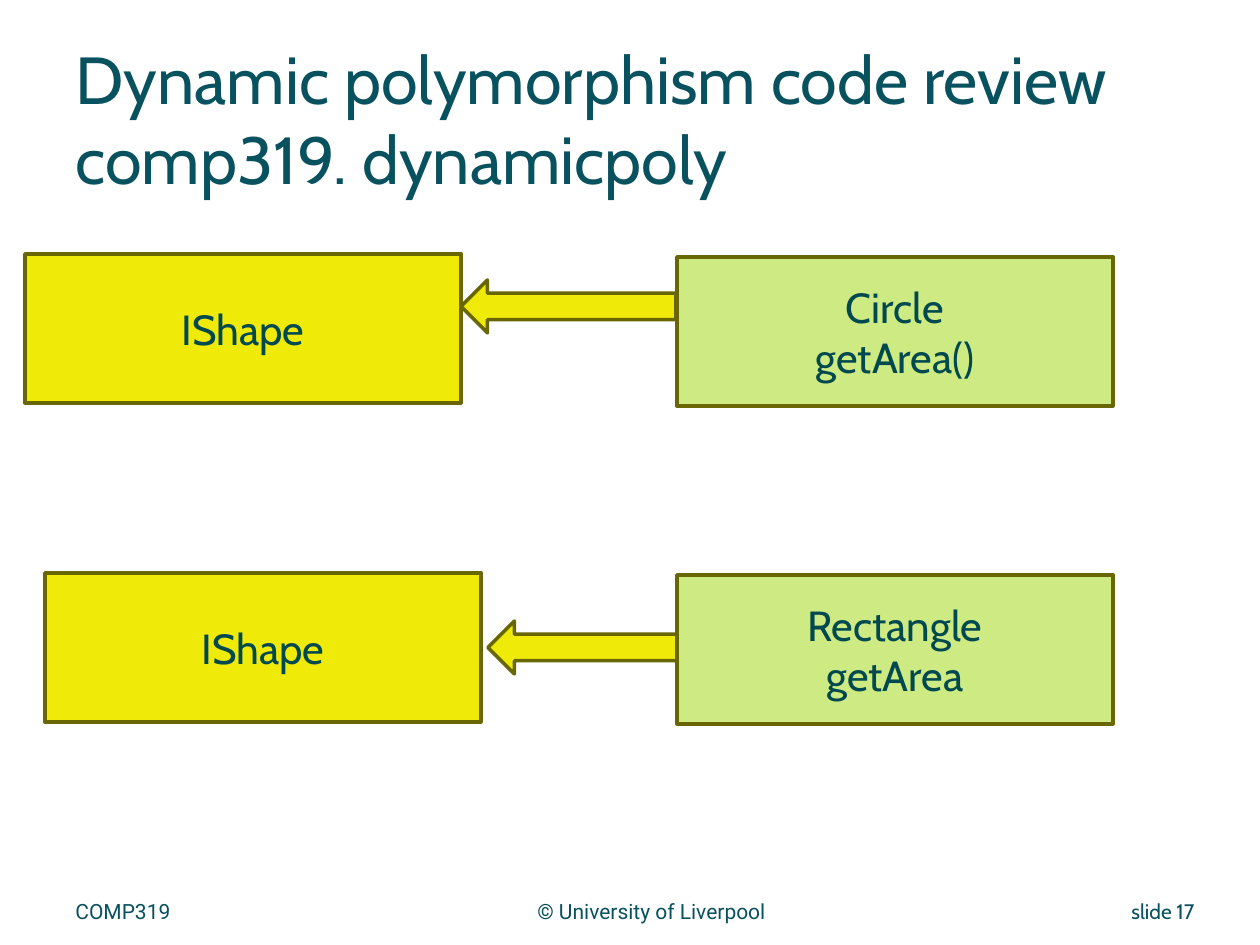
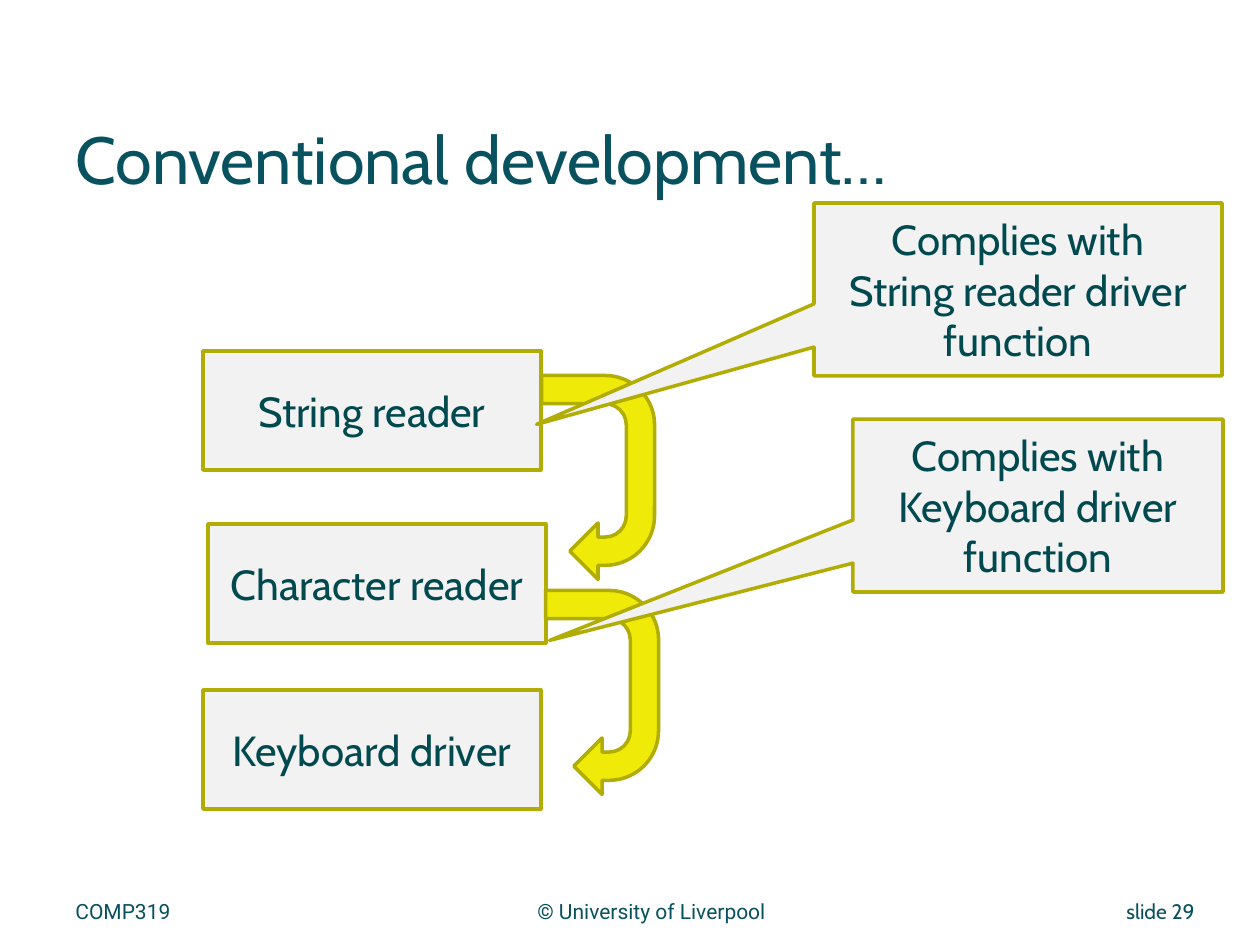
from pptx import Presentation
from pptx.dml.color import RGBColor
from pptx.enum.shapes import MSO_SHAPE
from pptx.enum.text import MSO_ANCHOR, MSO_AUTO_SIZE, PP_ALIGN
from pptx.util import Emu, Inches, Pt

PX = Inches(1) / 126
COLORS = {
    "title": "08515E",
    "label": "00494F",
    "yellow": "EFEA07",
    "green": "CEEA82",
    "grey": "F2F2F2",
    "dark_olive": "696703",
    "olive": "B1AD05",
}


def px(*lengths):
    return [Emu(round(length * PX)) for length in lengths]


def color(name):
    return RGBColor.from_string(COLORS[name])


class SlideBuilder:
    def __init__(self, deck, outline):
        self.deck = deck
        self.outline = outline
        self.slide = None

    def start(self, title, number, outline):
        """Add a slide with its title and footers."""
        self.slide = self.deck.slides.add_slide(self.deck.slide_layouts[5])
        self.outline = outline
        self.title(title)
        self.footer("© University of Liverpool", (504, 892, 295, 53), PP_ALIGN.CENTER)
        self.footer("COMP319", (63, 892, 420, 53), PP_ALIGN.LEFT)
        self.footer(f"slide {number}", (1018, 892, 189, 42), PP_ALIGN.RIGHT, "Cabin")

    def set_text(self, box, text, size, color_name, align, font="Cabin"):
        frame = box.text_frame
        frame.word_wrap = True
        frame.text = text
        for para in frame.paragraphs:
            para.alignment = align
            for span in para.runs:
                span.font.name = font
                span.font.size = Pt(size)
                span.font.color.rgb = color(color_name)
        return frame

    def title(self, text):
        box = self.slide.shapes.title
        box.left, box.top, box.width, box.height = px(63, 107, 1134, 91)
        frame = self.set_text(box, text, 38, "title", PP_ALIGN.LEFT)
        frame.auto_size = MSO_AUTO_SIZE.NONE
        frame.vertical_anchor = MSO_ANCHOR.BOTTOM
        frame.margin_top = frame.margin_bottom = 0

    def footer(self, text, place, align, font="Roboto"):
        box = self.slide.shapes.add_textbox(*px(*place))
        self.set_text(box, text, 12, "title", align, font)

    def shape(self, kind, place, fill):
        shape = self.slide.shapes.add_shape(kind, *px(*place))
        shape.shadow.inherit = False
        shape.fill.solid()
        shape.fill.fore_color.rgb = color(fill)
        shape.line.color.rgb = color(self.outline)
        shape.line.width = Pt(2)
        return shape

    def box(self, text, place, fill, kind=MSO_SHAPE.RECTANGLE):
        box = self.shape(kind, place, fill)
        frame = self.set_text(box, text, 24, "label", PP_ALIGN.CENTER)
        frame.vertical_anchor = MSO_ANCHOR.MIDDLE
        return box

    def callout(self, text, place, pointer):
        box = self.box(text, place, "grey", MSO_SHAPE.RECTANGULAR_CALLOUT)
        box.adjustments[0], box.adjustments[1] = pointer

    def left_arrow(self, left, top):
        self.shape(MSO_SHAPE.LEFT_ARROW, (left, top, 215, 53), "yellow")

    def uturn_arrow(self, left, top):
        arrow = self.shape(MSO_SHAPE.U_TURN_ARROW, (left, top, 204, 113), "yellow")
        arrow.rotation = 90


def polymorphism_slide(page):
    page.start("Dynamic polymorphism code review\vcomp319. dynamicpoly", 17, "dark_olive")
    class_size = (436, 149)

    # Circle and its interface
    page.box("IShape", (25, 254, *class_size), "yellow")
    page.box("Circle\ngetArea()", (677, 257, *class_size), "green")
    page.left_arrow(461, 280)

    # Rectangle and its interface, with the arrow tucked behind
    page.box("IShape", (45, 573, *class_size), "yellow")
    page.left_arrow(488, 621)
    page.box("Rectangle\ngetArea", (677, 575, *class_size), "green")


def development_slide(page):
    page.start("Conventional development…", 29, "olive")

    # Layers, from the bottom up
    for layer, left, top in (
        ("Keyboard driver", 203, 690),
        ("Character reader", 208, 524),
        ("String reader", 203, 351),
    ):
        page.box(layer, (left, top, 338, 119), "grey")

    # Calls between layers
    page.uturn_arrow(500, 636)
    page.uturn_arrow(496, 421)

    # Notes on the interfaces
    for driver, place, pointer in (
        ("Keyboard driver", (853, 419, 370, 173), (-1.32, 0.78)),
        ("String reader driver", (814, 203, 408, 173), (-1.18, 0.78)),
    ):
        page.callout(f"Complies with\n{driver}\nfunction", place, pointer)


def main():
    deck = Presentation()
    deck.slide_width, deck.slide_height = Inches(10), Inches(7.5)
    page = SlideBuilder(deck, "olive")
    polymorphism_slide(page)
    development_slide(page)
    deck.save("out.pptx")


if __name__ == "__main__":
    main()
